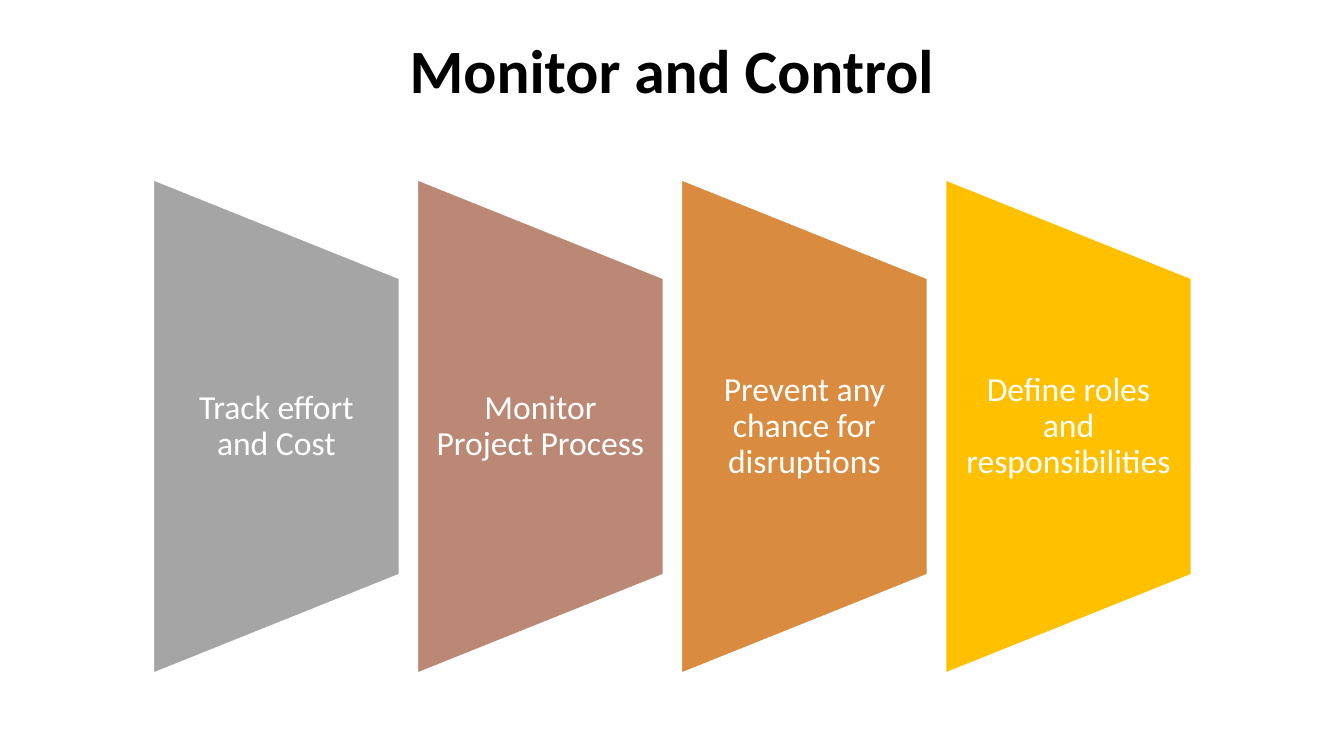
import pptx
import pptx.util
import pptx.dml.color
import pptx.enum.shapes
import pptx.enum.text

Pt = pptx.util.Pt
RGBColor = pptx.dml.color.RGBColor
MSO_SHAPE = pptx.enum.shapes.MSO_SHAPE
PP_ALIGN = pptx.enum.text.PP_ALIGN
MSO_ANCHOR = pptx.enum.text.MSO_ANCHOR

BLACK = RGBColor(0x00, 0x00, 0x00)
WHITE = RGBColor(0xFF, 0xFF, 0xFF)
GRAY = RGBColor(0xA5, 0xA5, 0xA5)
ROSE = RGBColor(0xBB, 0x88, 0x76)
ORANGE = RGBColor(0xD9, 0x8B, 0x3F)
GOLD = RGBColor(0xFF, 0xC0, 0x00)


def format_text(tf, size, color, bold):
    tf.word_wrap = True
    tf.vertical_anchor = MSO_ANCHOR.MIDDLE
    p = tf.paragraphs[0]
    p.alignment = PP_ALIGN.CENTER
    p.line_spacing = 0.9
    r = p.runs[0]
    r.font.name = "Calibri"
    r.font.size = Pt(size)
    r.font.bold = bold
    r.font.color.rgb = color


prs = pptx.Presentation()
prs.slide_width = Pt(960)
prs.slide_height = Pt(540)
s = prs.slides.add_slide(prs.slide_layouts[5])

title = s.shapes.title
title.left, title.top, title.width, title.height = Pt(0), Pt(0), Pt(960), Pt(104.4)
title.text_frame.text = "Monitor and Control"
format_text(title.text_frame, 44, BLACK, True)

steps = [
    ("Track effort and Cost", GRAY),
    ("Monitor Project Process", ROSE),
    ("Prevent any chance for disruptions", ORANGE),
    ("Define roles and responsibilities", GOLD),
]
first_left, pitch, middle = 109.6, 188.6, 304.6
step_width, step_height, text_height = 175.6, 352.4, 211.6

for i, (text, color) in enumerate(steps):
    left = first_left + i * pitch
    center = left + step_width / 2
    sp = s.shapes.add_shape(
        MSO_SHAPE.FLOWCHART_MANUAL_OPERATION,
        Pt(center - step_height / 2), Pt(middle - step_width / 2),
        Pt(step_height), Pt(step_width))
    sp.rotation = 270
    sp.shadow.inherit = False
    sp.fill.solid()
    sp.fill.fore_color.rgb = color
    sp.line.color.rgb = WHITE
    sp.line.width = Pt(1)

    box = s.shapes.add_textbox(
        Pt(left), Pt(middle - text_height / 2), Pt(step_width), Pt(text_height))
    tf = box.text_frame
    tf.text = text
    tf.margin_left = tf.margin_right = Pt(12)
    tf.margin_top = tf.margin_bottom = Pt(0)
    format_text(tf, 24, WHITE, False)

prs.save("out.pptx")
